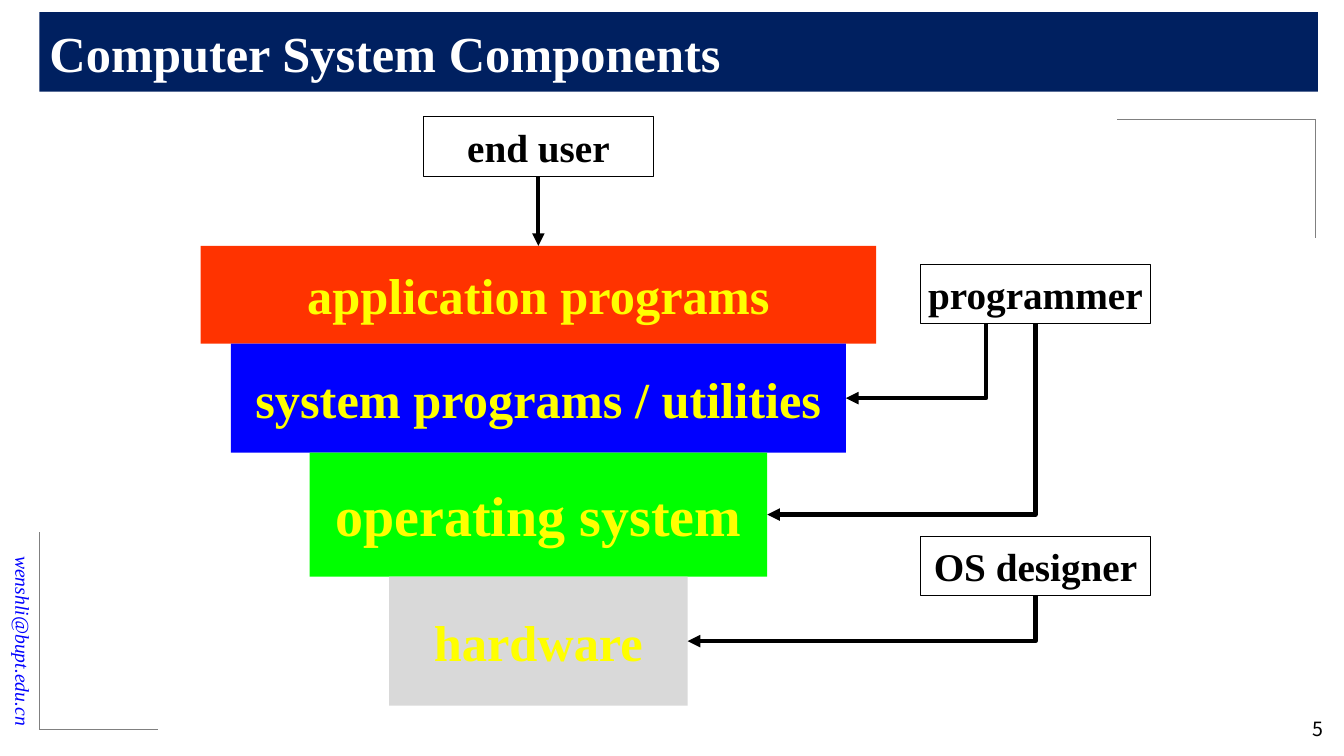
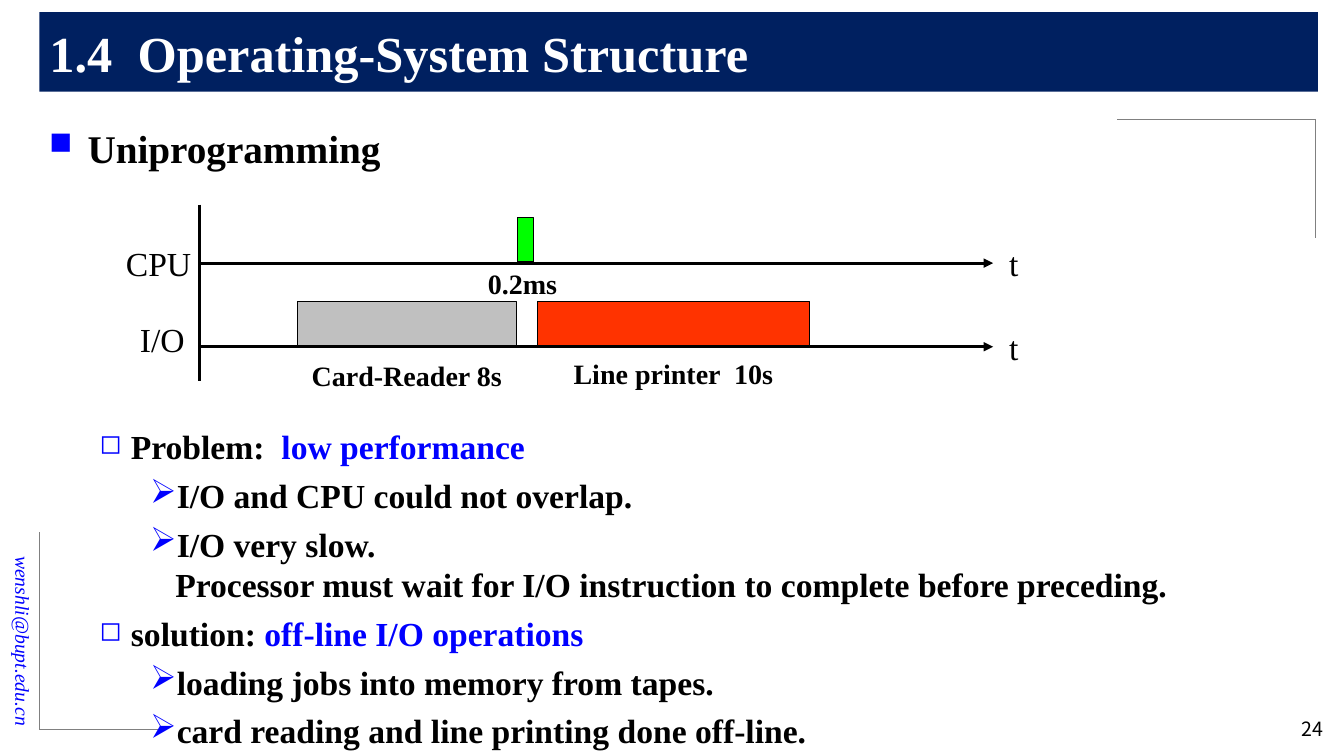
from lxml import etree
from pptx import Presentation
from pptx import util as u
from pptx.dml.color import RGBColor
from pptx.enum import shapes, text
from pptx.oxml import ns

PX = 9144
SERIF = "Times New Roman"
SANS = "Noto Sans CJK SC"
BLACK, WHITE, NAVY, GREY = "000000", "FFFFFF", "002060", "808080"
RED, GREEN, BLUE, YELLOW = "FF3300", "00FF00", "0000FF", "FFFF00"
SILVER, PALE = "C0C0C0", "D9D9D9"
LEFT, CENTER, RIGHT = text.PP_ALIGN.LEFT, text.PP_ALIGN.CENTER, text.PP_ALIGN.RIGHT
TOP_SIDE, BOTTOM_SIDE, RIGHT_SIDE = 0, 2, 3
LEVELS = (
    {"indent": 38, "hang": 38, "mark": "■", "scale": 80, "size": 28},
    {"indent": 81, "hang": 31, "mark": "◻", "scale": 80, "size": 24},
    {"indent": 125, "hang": 25, "mark": "➢", "scale": 100, "size": 24},
)


def emu(*lengths):
    """Turn px lengths into EMU."""
    return [u.Emu(length * PX) for length in lengths]


def paint(target, color):
    """Give a fill one solid colour."""
    target.solid()
    target.fore_color.rgb = RGBColor.from_string(color)


def style(run, size, color=BLACK, bold=False, italic=False, font=SERIF):
    """Format one run."""
    run.font.name = font
    run.font.size = u.Pt(size)
    run.font.bold = bold
    run.font.italic = italic
    paint(run.font.fill, color)


def write(frame, words, size, align=LEFT, **look):
    """Put one formatted paragraph in a text frame."""
    frame.text = words
    frame.paragraphs[0].alignment = align
    style(frame.paragraphs[0].runs[0], size, **look)


def label(slide, box, words, size, align=LEFT, wrap=True, **look):
    """Add a text box with one paragraph."""
    note = slide.shapes.add_textbox(*emu(*box))
    note.text_frame.word_wrap = wrap
    write(note.text_frame, words, size, align, **look)
    return note


def block(slide, box, fill=None, outline=None):
    """Add a rectangle with an optional fill and outline."""
    area = slide.shapes.add_shape(shapes.MSO_SHAPE.RECTANGLE, *emu(*box))
    area.shadow.inherit = False
    if fill:
        paint(area.fill, fill)
    else:
        area.fill.background()
    if outline:
        paint(area.line.fill, outline)
        area.line.width = u.Pt(0.75)
    else:
        area.line.fill.background()
    return area


def titled_block(slide, box, words, size, color, **look):
    """Add a rectangle with bold centred words."""
    area = block(slide, box, **look)
    area.text_frame.word_wrap = False
    area.text_frame.vertical_anchor = text.MSO_ANCHOR.MIDDLE
    write(area.text_frame, words, size, CENTER, color=color, bold=True)
    return area


def rule(slide, ends, color=BLACK, weight=2.25, arrow=False):
    """Add a straight line, with an arrowhead if wanted."""
    line = slide.shapes.add_connector(shapes.MSO_CONNECTOR.STRAIGHT, *emu(*ends))
    paint(line.line.fill, color)
    line.line.width = u.Pt(weight)
    properties = line.element.spPr
    if arrow:
        head = etree.SubElement(properties.find(ns.qn("a:ln")), ns.qn("a:tailEnd"))
        head.set("type", "triangle")
    etree.SubElement(properties, ns.qn("a:effectLst"))
    return line


def elbow(slide, source, target, start_x=None):
    """Run an arrow down from a box, then left to the side of another."""
    start = source.left // PX + source.width // PX // 2 if start_x is None else start_x
    bottom = (source.top + source.height) // PX
    side = (target.left + target.width) // PX
    middle = (target.top + target.height // 2) // PX
    line = rule(slide, (start, bottom, side, middle), weight=3, arrow=True)
    if start_x is None:
        line.begin_connect(source, BOTTOM_SIDE)
    line.end_connect(target, RIGHT_SIDE)
    across, down = line.begin_x - line.end_x, line.end_y - line.begin_y
    center_x = (line.begin_x + line.end_x) // 2
    center_y = (line.begin_y + line.end_y) // 2
    line.left, line.top = center_x - down // 2, center_y - across // 2
    line.width, line.height = down, across
    frame = line.element.spPr.find(ns.qn("a:xfrm"))
    frame.attrib.pop("flipH", None)
    frame.set("rot", "5400000")
    line.element.spPr.find(ns.qn("a:prstGeom")).set("prst", "bentConnector2")


def bullet(paragraph, level):
    """Give a paragraph the indent and mark of its level."""
    properties = paragraph._p.get_or_add_pPr()
    properties.set("marL", str(level["indent"] * PX))
    properties.set("indent", str(-level["hang"] * PX))
    color = etree.SubElement(properties, ns.qn("a:buClr"))
    etree.SubElement(color, ns.qn("a:srgbClr")).set("val", BLUE)
    scale = etree.SubElement(properties, ns.qn("a:buSzPct"))
    scale.set("val", str(level["scale"] * 1000))
    etree.SubElement(properties, ns.qn("a:buChar")).set("char", level["mark"])


def outline(slide, box, items):
    """Add bulleted text from (level, words, blue words) items."""
    frame = slide.shapes.add_textbox(*emu(*box)).text_frame
    frame.word_wrap = True
    for index, (depth, words, accent) in enumerate(items):
        paragraph = frame.add_paragraph() if index else frame.paragraphs[0]
        level = LEVELS[depth]
        bullet(paragraph, level)
        if index:
            paragraph.space_before = u.Pt(6)
        paragraph.text = words
        if accent:
            paragraph.add_run().text = accent
        for run in paragraph.runs:
            color = BLUE if run.text == accent else BLACK
            style(run, level["size"], color=color, bold=True)


def titled_slide(deck, heading, number):
    """Start a slide with the shared title band, corners and footer."""
    slide = deck.slides.add_slide(deck.slide_layouts[5])
    title = slide.shapes.title
    title.left, title.top, title.width, title.height = emu(39, 12, 1268, 79)
    paint(title.fill, NAVY)
    title.text_frame.vertical_anchor = text.MSO_ANCHOR.MIDDLE
    write(title.text_frame, heading, 36, color=WHITE, bold=True)
    for x, y, across, down in ((39, 724, 118, -196), (1305, 118, -197, 118)):
        rule(slide, (x, y, x + across, y), GREY, 0.5)
        rule(slide, (x, y, x, y + down), GREY, 0.5)
    author = label(slide, (-109, 581, 264, 34), "wenshli@bupt.edu.cn", 14, RIGHT,
                   color=BLUE, italic=True)
    author.text_frame.vertical_anchor = text.MSO_ANCHOR.MIDDLE
    author.rotation = 90
    label(slide, (1211, 706, 111, 36), number, 14, RIGHT, font=SANS)
    return slide


def components_slide(deck):
    """Build the stack of system layers and the people who use them."""
    slide = titled_slide(deck, "Computer System Components", "5")
    axis, top = 534, 244
    layers = []
    for words, width, height, size, fill in (
        ("application programs", 670, 97, 36, RED),
        ("system programs / utilities", 610, 108, 36, BLUE),
        ("operating system", 454, 123, 40, GREEN),
        ("hardware", 296, 128, 36, PALE),
    ):
        box = (axis - width // 2, top, width, height)
        layers.append(titled_block(slide, box, words, size, YELLOW, fill=fill))
        top += height
    application, utilities, system, hardware = layers
    end_user, programmer, designer = [
        titled_block(slide, (x, y, 228, 59), role, 28, BLACK, outline=BLACK)
        for role, x, y in (("end user", 420, 116), ("programmer", 913, 262),
                           ("OS designer", 913, 532))
    ]
    usage = rule(slide, (axis, 175, axis, 244), weight=3, arrow=True)
    usage.begin_connect(end_user, BOTTOM_SIDE)
    usage.end_connect(application, TOP_SIDE)
    elbow(slide, designer, hardware)
    elbow(slide, programmer, utilities, start_x=978)
    elbow(slide, programmer, system)


def timeline(slide):
    """Draw the CPU and I/O lanes with their busy periods."""
    origin, cpu, io = 198, 261, 344
    rule(slide, (origin, 203, origin, 378))
    for lane in (cpu, io):
        rule(slide, (origin, lane, 985, lane), arrow=True)
        label(slide, (991, lane - 25, 50, 50), "t", 24)
    label(slide, (115, 236, 92, 50), "CPU", 24)
    label(slide, (115, 311, 92, 50), "I/O", 24, CENTER)
    for lane, start, length, fill in ((cpu, 513, 16, GREEN), (io, 295, 217, SILVER),
                                      (io, 533, 270, RED)):
        block(slide, (start, lane - 45, length, 44), fill, BLACK)
    label(slide, (474, 259, 110, 44), "0.2ms", 20, bold=True)
    label(slide, (298, 351, 211, 44), "Card-Reader 8s", 20, CENTER, wrap=False, bold=True)
    label(slide, (533, 349, 270, 45), "Line printer  10s", 20, CENTER, bold=True)


def structure_slide(deck):
    """Build the uniprogramming slide."""
    slide = titled_slide(deck, "1.4  Operating-System Structure", "24")
    outline(slide, (39, 118, 1264, 60), [(0, "Uniprogramming", "")])
    timeline(slide)
    outline(slide, (39, 418, 1264, 318), [
        (1, "Problem:  ", "low performance"),
        (2, "I/O and CPU could not overlap.", ""),
        (2, "I/O very slow.\vProcessor must wait for I/O instruction"
            " to complete before preceding.", ""),
        (1, "solution: ", "off-line I/O operations"),
        (2, "loading jobs into memory from tapes.", ""),
        (2, "card reading and line printing done off-line.", ""),
    ])


def main():
    """Build and save the deck."""
    deck = Presentation()
    deck.slide_width, deck.slide_height = emu(1333, 750)
    components_slide(deck)
    structure_slide(deck)
    deck.save("out.pptx")


if __name__ == "__main__":
    main()
